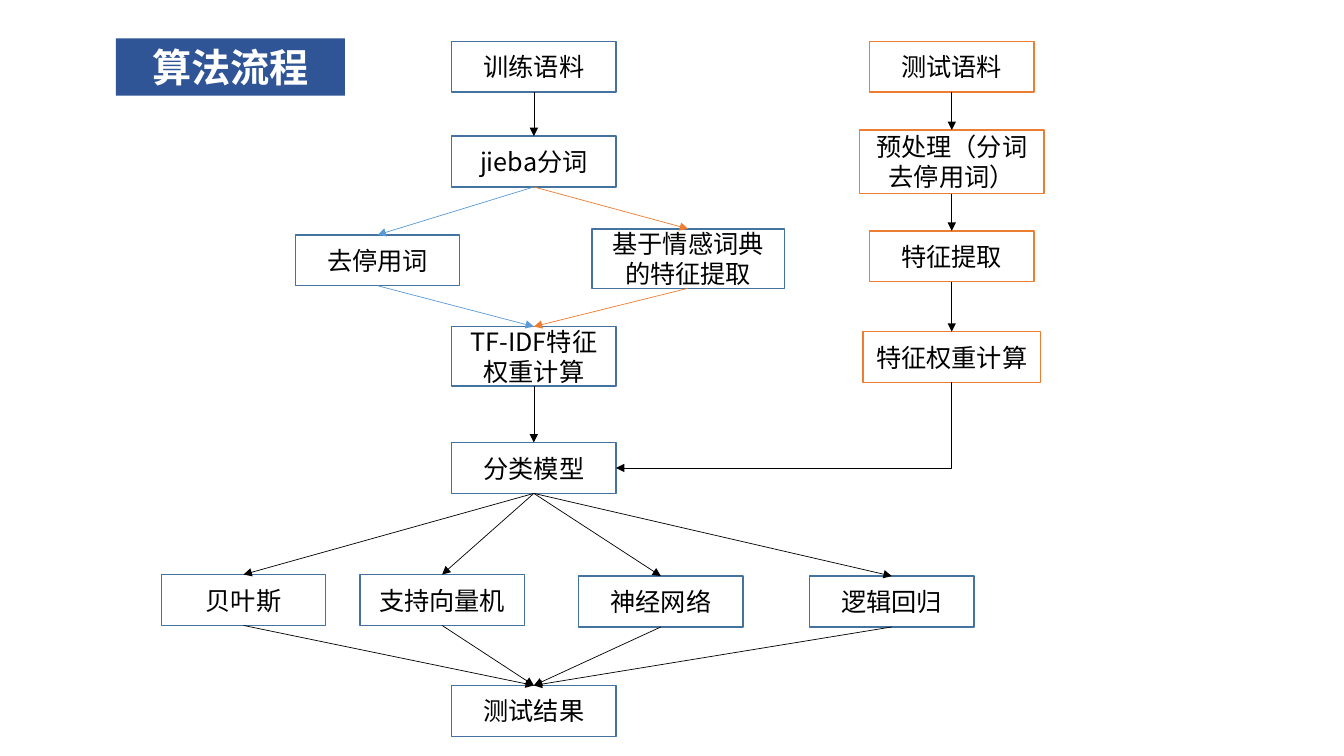
from lxml.etree import SubElement
from pptx import Presentation
from pptx.dml.color import RGBColor
from pptx.enum.shapes import MSO_CONNECTOR as Connector, MSO_SHAPE as Shape
from pptx.enum.text import MSO_ANCHOR as Anchor, MSO_AUTO_SIZE as AutoSize, PP_ALIGN as Align
from pptx.oxml.ns import qn
from pptx.util import Inches, Pt

COLORS = {
    "banner": "2F5597", "white": "FFFFFF", "black": "000000",
    "training": "43739E", "testing": "ED7D31", "blue": "5B9BD5", "orange": "ED7D31",
}
FONT = "Noto Sans CJK SC"
CELL = Inches(0.1)  # the slide is a grid of square cells
NODE_WIDTH, NODE_HEIGHT = 16.3, 5.05
TOP, LEFT, BOTTOM, RIGHT = range(4)  # connection sites of a rectangle


def cells(count):
    return round(count * CELL)


def color(name):
    return RGBColor.from_string(COLORS[name])


def apply(target, formats):
    for name, value in formats.items():
        setattr(target, name, value)


def write_text(shape, text, size, color_name, bold=False):
    frame = shape.text_frame
    apply(frame, {"word_wrap": True, "auto_size": AutoSize.NONE,
                  "vertical_anchor": Anchor.MIDDLE})
    paragraph = frame.paragraphs[0]
    apply(paragraph, {"alignment": Align.CENTER, "line_spacing": 1.0})
    run = paragraph.add_run()
    run.text = text
    apply(run.font, {"size": Pt(size), "name": FONT, "bold": bold})
    run.font.color.rgb = color(color_name)
    SubElement(run.font._element, qn("a:ea"), typeface=FONT)


def add_title(slide, box, text):
    title = slide.shapes.title
    apply(title, dict(zip(("left", "top", "width", "height"), map(cells, box))))
    title.fill.solid()
    title.fill.fore_color.rgb = color("banner")
    write_text(title, text, 28, "white", bold=True)


def add_node(slide, axis, top, text, line, fill=None, width=NODE_WIDTH, height=NODE_HEIGHT):
    """Place a box centred on a vertical axis."""
    node = slide.shapes.add_shape(
        Shape.RECTANGLE, cells(axis - width / 2), cells(top), cells(width), cells(height))
    node.shadow.inherit = False
    if fill:
        node.fill.solid()
        node.fill.fore_color.rgb = color(fill)
    else:
        node.fill.background()
    node.line.color.rgb = color(line)
    node.line.width = Pt(1)
    write_text(node, text, 18, "black")
    return node


def add_link(slide, start, end, color_name="black", sites=(BOTTOM, TOP),
             kind=Connector.STRAIGHT, arrow="a:tailEnd"):
    link = slide.shapes.add_connector(kind, 0, 0, 0, 0)
    link.begin_connect(start, sites[0])
    link.end_connect(end, sites[1])
    link.line.color.rgb = color(color_name)
    link.line.width = Pt(0.5)
    SubElement(link.line._get_or_add_ln(), qn(arrow), type="triangle")
    SubElement(link._element.spPr, qn("a:effectLst"))
    return link


def add_training(slide, box):
    """Draw the training branch and return its model node."""
    left, top, width, _ = box
    axis = left + width / 2

    def node(shift, row, text, **size):
        return add_node(slide, axis + shift, top + row, text, "training", **size)

    corpus = node(0, 0, "训练语料")
    segmentation = node(0, 9.4, "jieba分词")
    stop_words = node(-15.5, 19.2, "去停用词")
    lexicon = node(15.3, 18.6, "基于情感词典的特征提取", width=19.1, height=5.9)
    weights = node(0, 28.3, "TF-IDF特征权重计算", height=5.9)
    model = node(0, 39.8, "分类模型")

    add_link(slide, corpus, segmentation)
    for branch, color_name in ((stop_words, "blue"), (lexicon, "orange")):
        add_link(slide, segmentation, branch, color_name)
        add_link(slide, branch, weights, color_name)
    add_link(slide, weights, model)
    return model


def add_testing(slide, box, model):
    """Draw the testing column and lead it to the model."""
    left, top, width, _ = box
    steps = (
        ("测试语料", 0, {}),
        ("预处理（分词去停用词）", 8.8, {"width": width, "height": 6.3}),
        ("特征提取", 18.8, {}),
        ("特征权重计算", 28.8, {"width": 17.6}),
    )
    nodes = [add_node(slide, left + width / 2, top + row, text, "testing", "white", **size)
             for text, row, size in steps]
    for start, end in zip(nodes, nodes[1:]):
        add_link(slide, start, end)
    elbow = add_link(slide, model, nodes[-1], sites=(RIGHT, BOTTOM),
                     kind=Connector.ELBOW, arrow="a:headEnd")
    elbow._element.spPr.find(qn("a:prstGeom")).set("prst", "bentConnector2")


def add_classifiers(slide, box, model):
    """Fan out from the model to the classifiers and gather their result."""
    left, top, width, height = box
    axis = left + width / 2
    result = add_node(slide, axis, top + height - NODE_HEIGHT, "测试结果", "training")
    classifiers = (("贝叶斯", -28.8, 0), ("支持向量机", -9.1, 0),
                   ("神经网络", 12.6, 0.15), ("逻辑回归", 35.5, 0.15))
    for text, shift, row in classifiers:
        classifier = add_node(slide, axis + shift, top + row, text, "training")
        add_link(slide, model, classifier)
        add_link(slide, classifier, result)


def main():
    presentation = Presentation()
    apply(presentation, {"slide_width": Inches(13.33), "slide_height": Inches(7.5)})
    slide = presentation.slides.add_slide(presentation.slide_layouts[5])

    # Regions: left, top, width, height in grid cells
    add_title(slide, (11.5, 3.8, 22.7, 5.7), "算法流程")
    model = add_training(slide, (29.3, 4.1, 47.3, 44.85))
    add_testing(slide, (85.25, 4.1, 18.3, 33.85), model)
    add_classifiers(slide, (16, 57, 73.9, 16.05), model)

    presentation.save("out.pptx")


if __name__ == "__main__":
    main()
